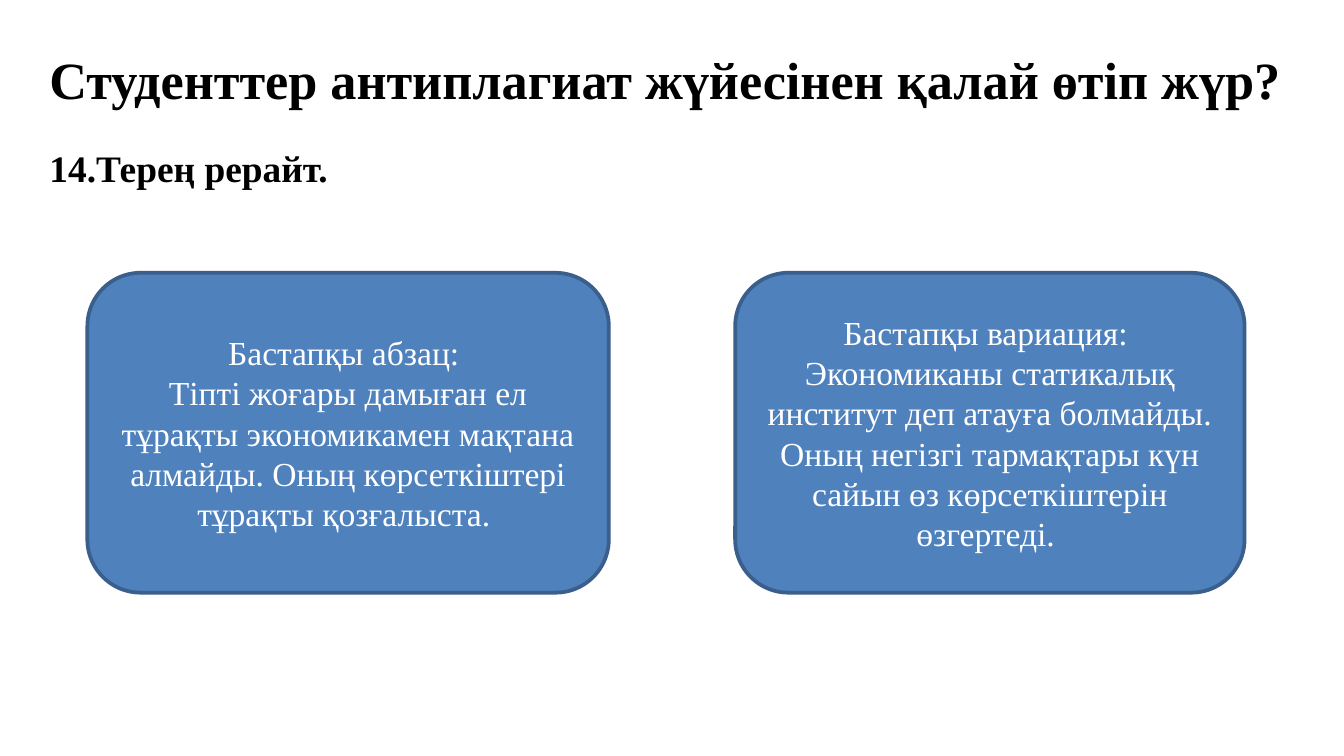
from dataclasses import dataclass

import pptx
import pptx.dml.color
import pptx.enum.shapes
import pptx.enum.text
import pptx.util

Inches = pptx.util.Inches
Pt = pptx.util.Pt
Color = pptx.dml.color.RGBColor


@dataclass(frozen=True)
class Theme:
    font: str = "Times New Roman"
    ink: str = "000000"
    card_ink: str = "FFFFFF"
    card_fill: str = "4F81BD"
    card_line: str = "3A5F8C"
    line_width: float = 2
    title_size: int = 28
    subtitle_size: int = 20
    card_size: int = 18


THEME = Theme()


def add_span(para, text, size, color, bold=False):
    span = para.add_run()
    span.text = text
    span.font.name = THEME.font
    span.font.size = Pt(size)
    span.font.bold = bold
    span.font.color.rgb = Color.from_string(color)


def add_heading(page, box, text, size):
    heading = page.shapes.add_textbox(*map(Inches, box))
    heading.text_frame.word_wrap = True
    heading.text_frame.auto_size = pptx.enum.text.MSO_AUTO_SIZE.SHAPE_TO_FIT_TEXT
    add_span(heading.text_frame.paragraphs[0], text, size, THEME.ink, bold=True)


def add_header(page, box, title, subtitle):
    left, top, width, height = box
    add_heading(page, (left, top, width, 0.57), title, THEME.title_size)
    add_heading(page, (left, top + height - 0.44, 5, 0.44), subtitle, THEME.subtitle_size)


def add_card(page, box, lines):
    card = page.shapes.add_shape(
        pptx.enum.shapes.MSO_SHAPE.ROUNDED_RECTANGLE, *map(Inches, box)
    )
    card.shadow.inherit = False
    card.fill.solid()
    card.fill.fore_color.rgb = Color.from_string(THEME.card_fill)
    card.line.color.rgb = Color.from_string(THEME.card_line)
    card.line.width = Pt(THEME.line_width)
    frame = card.text_frame
    frame.word_wrap = True
    frame.vertical_anchor = pptx.enum.text.MSO_ANCHOR.MIDDLE
    for index, text in enumerate(lines):
        para = frame.add_paragraph() if index else frame.paragraphs[0]
        para.alignment = pptx.enum.text.PP_ALIGN.CENTER
        add_span(para, text, THEME.card_size, THEME.card_ink)


def add_comparison(page, box, cards):
    left, top, width, height = box
    first_width, second_width = 3.88, 3.79
    columns = ((left, first_width), (left + width - second_width, second_width))
    for (card_left, card_width), lines in zip(columns, cards):
        add_card(page, (card_left, top, card_width, height), lines)


def main():
    deck = pptx.Presentation()
    deck.slide_width = Inches(10)
    deck.slide_height = Inches(10 * 9 / 16)
    page = deck.slides.add_slide(deck.slide_layouts[6])
    add_header(
        page,
        (0.27, 0.3, 9.46, 1.17),
        "Студенттер антиплагиат жүйесінен қалай өтіп жүр?",
        "14.Терең рерайт.",
    )
    add_comparison(
        page,
        (0.65, 2.03, 8.61, 2.38),
        (
            (
                "Бастапқы абзац: ",
                "Тіпті жоғары дамыған ел тұрақты экономикамен мақтана алмайды. "
                "Оның көрсеткіштері тұрақты қозғалыста. ",
            ),
            (
                "Бастапқы вариация: ",
                "Экономиканы статикалық институт деп атауға болмайды. "
                "Оның негізгі тармақтары күн сайын өз көрсеткіштерін өзгертеді. ",
            ),
        ),
    )
    deck.save("out.pptx")


if __name__ == "__main__":
    main()
